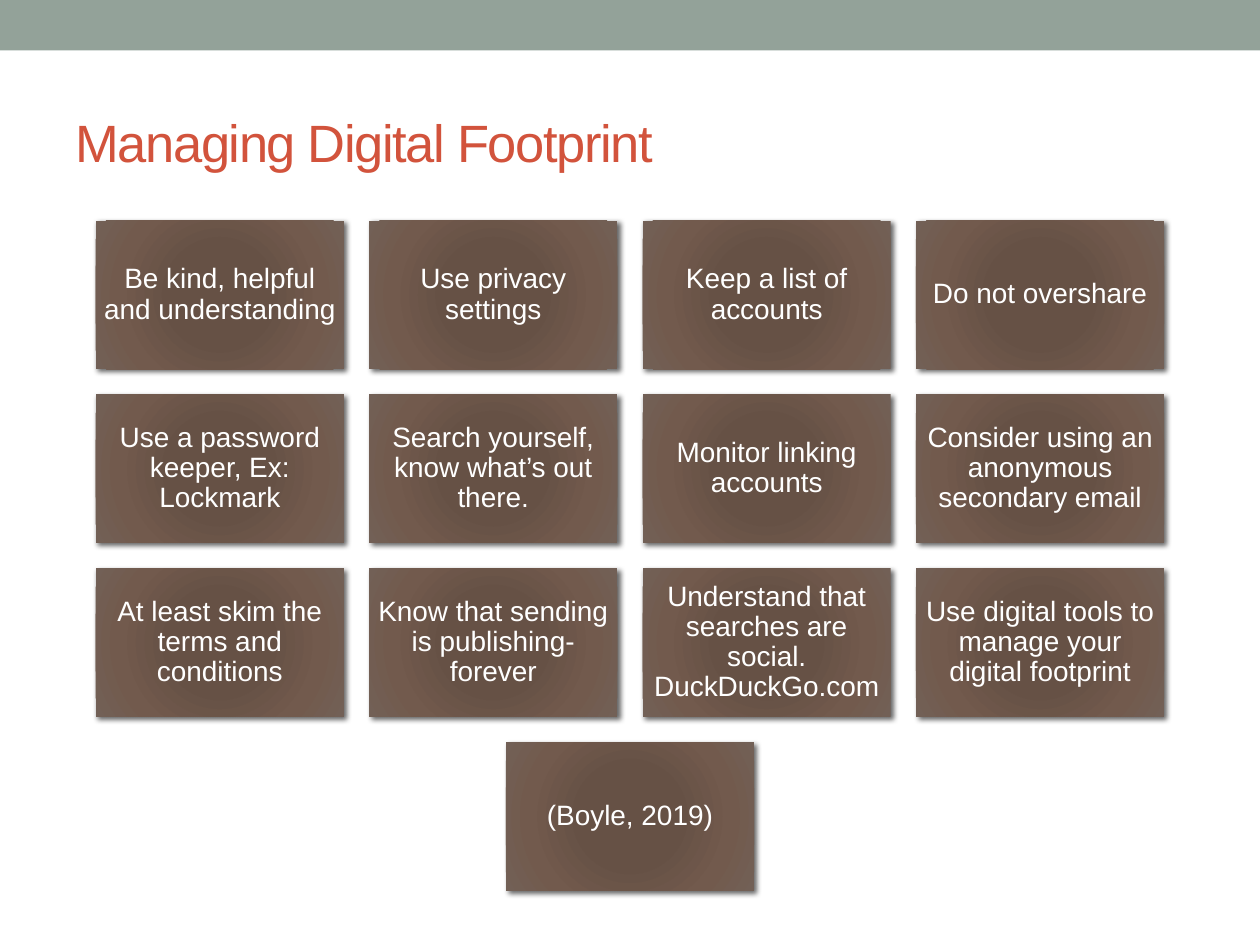
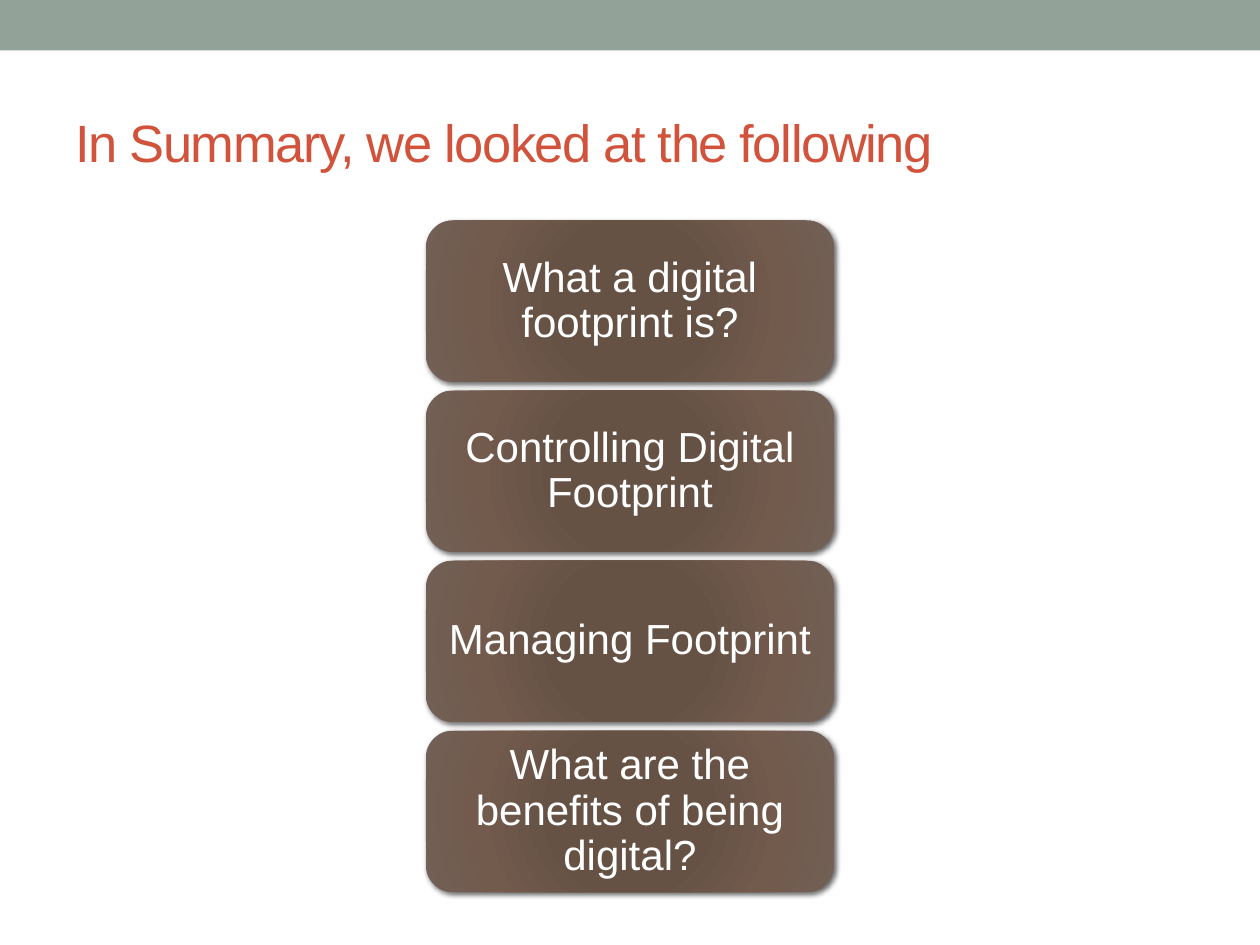
"""Build two slides on managing a digital footprint: a grid of tips and a summary."""
import lxml.etree
import pptx
import pptx.dml.color
import pptx.enum.shapes
import pptx.enum.text
import pptx.oxml
import pptx.oxml.ns
import pptx.util

Inches = pptx.util.Inches
SHAPES = pptx.enum.shapes.MSO_SHAPE
COLORS = {
    "band": "93A299",
    "title": "D2533C",
    "text": "FFFFFF",
    "shadow": "000000",
    "core": "685044",
    "inner": "665145",
    "outer": "725A4D",
    "edge": "726056",
}
FONT = "Arial"
SLIDE_WIDTH = 10
CARDS_TOP = 1.75
NAMESPACE = pptx.oxml.ns.nsdecls("a")
STOPS = "".join(
    f'<a:gs pos="{position}000"><a:srgbClr val="{COLORS[name]}"/></a:gs>'
    for position, name in [(0, "core"), (34, "inner"), (70, "outer"), (100, "edge")]
)
GRADIENT = (
    f'<a:gradFill {NAMESPACE} rotWithShape="1"><a:gsLst>{STOPS}</a:gsLst><a:path path="circle">'
    '<a:fillToRect l="100000" t="100000" r="100000" b="100000"/></a:path></a:gradFill>'
)
SHADOW = (
    f'<a:outerShdw {NAMESPACE} blurRad="38100" dist="25400" dir="2700000" rotWithShape="0">'
    f'<a:srgbClr val="{COLORS["shadow"]}"><a:alpha val="60000"/></a:srgbClr></a:outerShdw>'
)


def add_titled_slide(heading):
    slide = deck.slides.add_slide(deck.slide_layouts[6])
    band = slide.shapes.add_shape(SHAPES.RECTANGLE, 0, 0, Inches(SLIDE_WIDTH), Inches(0.4))
    band.shadow.inherit = False
    band.fill.solid()
    band.fill.fore_color.rgb = pptx.dml.color.RGBColor.from_string(COLORS["band"])
    band.line.fill.background()
    title = slide.shapes.add_textbox(Inches(0.5), Inches(0.58), Inches(9), Inches(1.08))
    frame = title.text_frame
    frame.word_wrap = True
    frame.vertical_anchor = pptx.enum.text.MSO_ANCHOR.MIDDLE
    frame.text = heading
    run = frame.paragraphs[0].runs[0]
    run.font.name = FONT
    run.font.size = pptx.util.Pt(30)
    run.font.color.rgb = pptx.dml.color.RGBColor.from_string(COLORS["title"])
    run.font._element.set("spc", "-80")
    return slide


def add_card(slide, outline, text, box, size, margins):
    card = slide.shapes.add_shape(outline, *[Inches(length) for length in box])
    card.line.fill.background()
    card.shadow.inherit = False
    properties = card._element.spPr
    properties.find(pptx.oxml.ns.qn("a:prstGeom")).addnext(pptx.oxml.parse_xml(GRADIENT))
    properties.find(pptx.oxml.ns.qn("a:effectLst")).append(pptx.oxml.parse_xml(SHADOW))
    frame = card.text_frame
    frame.word_wrap = True
    frame.vertical_anchor = pptx.enum.text.MSO_ANCHOR.MIDDLE
    frame.margin_left = frame.margin_right = Inches(margins[0])
    frame.margin_top = frame.margin_bottom = Inches(margins[1])
    frame.text = text
    paragraph = frame.paragraphs[0]
    paragraph.alignment = pptx.enum.text.PP_ALIGN.CENTER
    paragraph.line_spacing = 0.9
    font = paragraph.runs[0].font
    font.name = FONT
    font.size = pptx.util.Pt(size)
    font.color.rgb = pptx.dml.color.RGBColor.from_string(COLORS["text"])


deck = pptx.Presentation()
deck.slide_width = Inches(SLIDE_WIDTH)
deck.slide_height = Inches(7.5)

tip_rows = [
    ["Be kind, helpful and understanding", "Use privacy settings",
     "Keep a list of accounts", "Do not overshare"],
    ["Use a password keeper, Ex: Lockmark", "Search yourself, know what’s out there.",
     "Monitor linking accounts", "Consider using an anonymous secondary email"],
    ["At least skim the terms and conditions", "Know that sending is publishing-forever",
     "Understand that searches are social. DuckDuckGo.com",
     "Use digital tools to manage your digital footprint"],
    ["(Boyle, 2019)"],
]
tip_width, tip_height, tip_gap = 1.97, 1.18, 0.2
tips_slide = add_titled_slide("Managing Digital Footprint")
for row, tips in enumerate(tip_rows):
    row_width = len(tips) * (tip_width + tip_gap) - tip_gap
    row_left = (SLIDE_WIDTH - row_width) / 2
    top = CARDS_TOP + row * (tip_height + tip_gap)
    for column, tip in enumerate(tips):
        left = row_left + column * (tip_width + tip_gap)
        add_card(tips_slide, SHAPES.RECTANGLE, tip,
                 (left, top, tip_width, tip_height), 16, (0.06, 0.07))

topics = [
    "What a digital footprint is?",
    "Controlling Digital Footprint",
    "Managing Footprint",
    "What are the benefits of being digital?",
]
topic_width, topic_height, topic_pitch = 3.24, 1.28, 1.35
summary_slide = add_titled_slide("In Summary, we looked at the following")
for position, topic in enumerate(topics):
    box = ((SLIDE_WIDTH - topic_width) / 2, CARDS_TOP + position * topic_pitch,
           topic_width, topic_height)
    add_card(summary_slide, SHAPES.ROUNDED_RECTANGLE, topic, box, 24, (0.08, 0.05))

deck.save("out.pptx")
